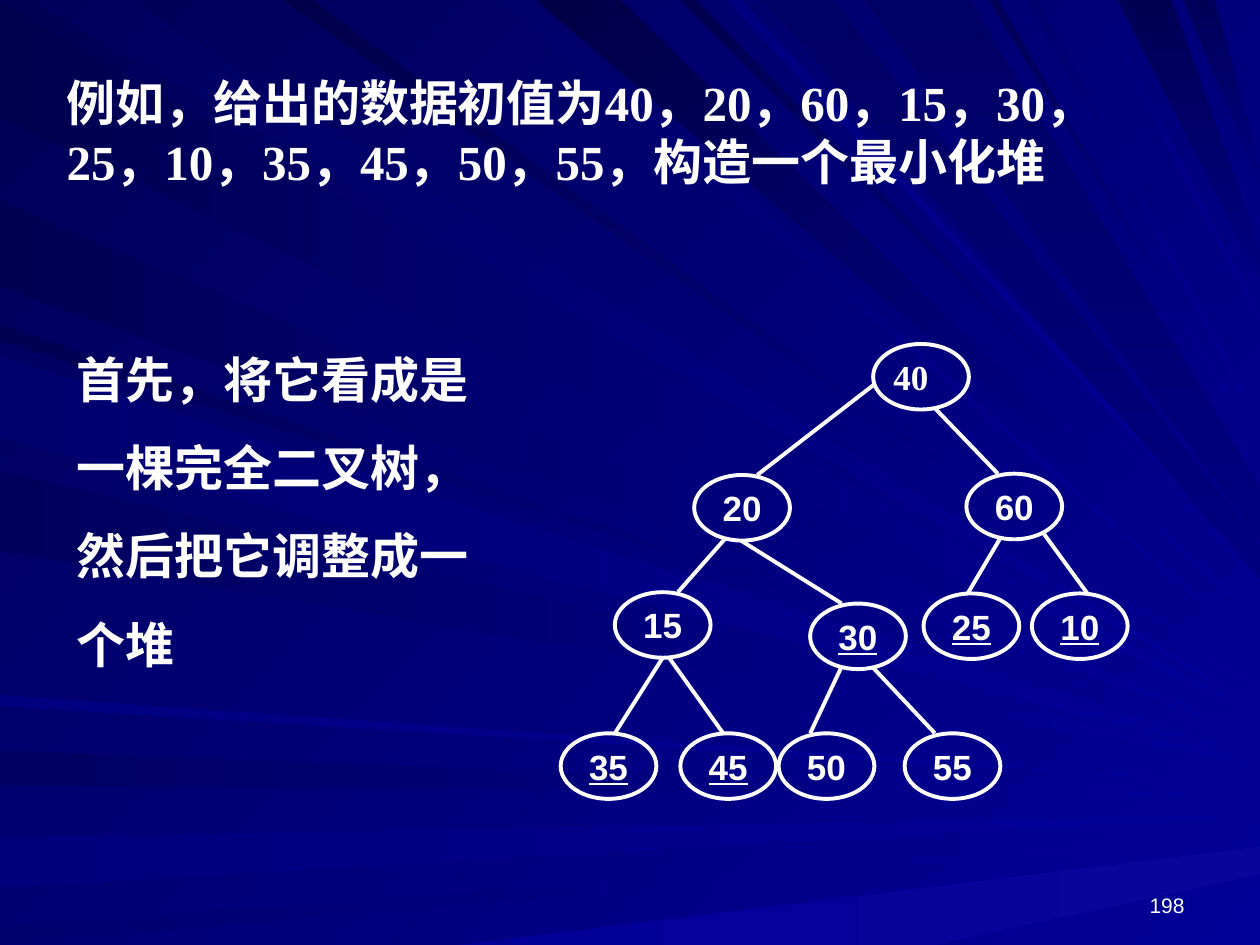
from math import sqrt
from lxml import etree
from pptx import Presentation
from pptx import util as u
from pptx.dml.color import RGBColor
from pptx.enum import shapes, text
from pptx.oxml.ns import qn

PX = 9144  # EMU per px, 100 px to the inch
WIDTH, HEIGHT = 1000, 750
NODE_W, NODE_H = 76, 52
WHITE, BLUE, NAVY = "FFFFFF", "000099", "000080"
SERIF, SANS = "Times New Roman", "Arial"
ALIGN, ANCHOR = text.PP_ALIGN, text.MSO_ANCHOR

# Each ray runs from a span on one slide edge to a tip on the right edge:
# span start, span end, height of the tip, dark colour
LEFT_RAYS = [
    (2, 93, 570, "000051"), (596, 623, 632, "000060"), (665, 704, 647, "00007C"),
    (735, 765, 662, "00006E"), (258, 270, 589, "000053"), (159, 228, 585, "000055"),
    (278, 342, 600, "000060"), (374, 437, 606, "00005C"), (552, 560, 622, "000081"),
    (283, 347, 604, "00006E"),
]
TOP_RAYS = [
    (26, 101, 563, "00005C"), (398, 416, 518, "00006A"), (426, 492, 493, "000046"),
    (540, 552, 463, "00004E"), (225, 247, 550, "00004A"), (577, 588, 454, "000081"),
    (785, 792, 357, "000057"), (815, 824, 336, "00006E"), (865, 872, 254, "000078"),
]
STEEP_RAYS = [
    (606, 661, 446, "000064"), (887, 930, 210, "000055"),
    (939, 964, 140, "000059"), (686, 770, 409, "000064"),
]

# Tree in level order: value, left, top, x where its edge leaves the parent and arrives
ROOT = ("40", 693, 273, None, None)
NODES = [
    ROOT,
    ("20", 551, 377, 694, 601), ("60", 767, 376, 742, 792),
    ("15", 488, 470, 576, 538), ("30", 643, 479, 588, 668),
    ("25", 733, 471, 794, 768), ("10", 819, 471, 828, 863),
    ("35", 445, 582, 526, 488), ("45", 540, 582, 531, 574),
    ("50", 618, 582, 668, 643), ("55", 718, 582, 693, 742),
]
UNDERLINED = {"30", "25", "10", "35", "45"}


def rgb(color):
    return RGBColor.from_string(color)


def paint(fill, start, end, angle):
    """Fill with a gradient whose angle runs clockwise."""
    fill.gradient()
    fill.gradient_angle = 360 - angle
    for stop, color in zip(fill.gradient_stops, (start, end)):
        stop.color.rgb = rgb(color)


def lower_rim(left, top, x):
    """Height at which a node's lower outline passes x."""
    offset = (x - left) / (NODE_W / 2) - 1
    return round(top + NODE_H / 2 * (1 + sqrt(1 - offset ** 2)))


def write(tf, content, size=28, font=SERIF, bold=True, underline=None, align=ALIGN.LEFT,
          anchor=ANCHOR.TOP, spacing=None, inset=(10, 5)):
    tf.word_wrap = True
    tf.vertical_anchor = anchor
    tf.margin_left = tf.margin_right = inset[0] * PX
    tf.margin_top = tf.margin_bottom = inset[1] * PX
    p = tf.paragraphs[0]
    p.alignment = align
    p.line_spacing = spacing
    r = p.add_run()
    r.text = content
    r.font.size = u.Pt(size)
    r.font.name = font
    r.font.bold = bold
    r.font.underline = underline
    r.font.color.rgb = rgb(WHITE)


class Board:
    """The current slide and the outline style of its tree."""

    def __init__(self, slide, line_color=WHITE, line_width=2.25):
        self.slide = slide
        self.shapes = slide.shapes
        self.line_color = line_color
        self.line_width = line_width

    def outline(self, line):
        line.color.rgb = rgb(self.line_color)
        line.width = u.Pt(self.line_width)

    def background(self, start, end, angle):
        paint(self.slide.background.fill, start, end, angle)

    def ray(self, corners, start, end, angle):
        builder = self.shapes.build_freeform(*corners[0], scale=PX)
        builder.add_line_segments(corners[1:], close=True)
        sp = builder.convert_to_shape()
        sp.shadow.inherit = False
        sp.line.fill.background()
        paint(sp.fill, start, end, angle)

    def text(self, content, x, y, w, h, **fmt):
        box = self.shapes.add_textbox(x * PX, y * PX, w * PX, h * PX)
        write(box.text_frame, content, **fmt)

    def node(self, value, x, y, **fmt):
        sp = self.shapes.add_shape(
            shapes.MSO_SHAPE.OVAL, x * PX, y * PX, NODE_W * PX, NODE_H * PX)
        sp.shadow.inherit = False
        sp.fill.background()
        self.outline(sp.line)
        write(sp.text_frame, value, size=20, anchor=ANCHOR.MIDDLE, inset=(5, 3), **fmt)

    def edge(self, x1, y1, x2, y2, arrow=False):
        line = self.shapes.add_connector(
            shapes.MSO_CONNECTOR.STRAIGHT, x1 * PX, y1 * PX, x2 * PX, y2 * PX)
        self.outline(line.line)
        if arrow:
            ln = line._element.spPr.find(qn("a:ln"))
            etree.SubElement(ln, qn("a:tailEnd"), type="triangle")
        etree.SubElement(line._element.spPr, qn("a:effectLst"))


def draw_rays(board):
    for a, b, tip, dark in LEFT_RAYS:
        board.ray([(0, a), (WIDTH, tip), (0, min(b, HEIGHT))], BLUE, dark, 180)
    board.ray([(364, HEIGHT), (WIDTH, 672), (WIDTH, 694), (742, HEIGHT)], BLUE, "07079B", 0)
    for a, b, tip, dark in TOP_RAYS:
        board.ray([(a, 0), (WIDTH, tip), (b, 0)], BLUE, dark, 225)
    for a, b, tip, dark in STEEP_RAYS:
        flare = (b - a) // 4
        corners = [(a, 0), (WIDTH, tip + flare), (WIDTH, tip - flare), (b, 0)]
        board.ray(corners, dark, NAVY, 90)


def draw_tree(board):
    for i, (value, x, y, leave, arrive) in enumerate(NODES):
        if i == 0:
            board.node(value, x, y, align=ALIGN.JUSTIFY)
            continue
        _, parent_x, parent_y, *_ = NODES[(i - 1) // 2]
        board.edge(leave, lower_rim(parent_x, parent_y, leave), arrive, y)
        board.node(value, x, y, font=SANS, align=ALIGN.CENTER,
                   underline=value in UNDERLINED)
    board.edge(941, 389, 941, 389, arrow=True)


def main():
    prs = Presentation()
    prs.slide_width, prs.slide_height = WIDTH * PX, HEIGHT * PX
    board = Board(prs.slides.add_slide(prs.slide_layouts[6]))

    board.background(BLUE, "000057", 225)
    draw_rays(board)
    board.text("例如，给出的数据初值为40，20，60，15，30，25，10，35，45，50，55，构造一个最小化堆",
               43, 29, 891, 150, anchor=ANCHOR.MIDDLE)
    draw_tree(board)
    board.text("首先，将它看成是一棵完全二叉树，然后把它调整成一个堆",
               51, 249, 347, 290, spacing=1.5)
    board.text("198", 717, 683, 233, 50, size=12, font=SANS, bold=False,
               align=ALIGN.RIGHT, anchor=ANCHOR.BOTTOM)
    prs.save("out.pptx")


if __name__ == "__main__":
    main()
